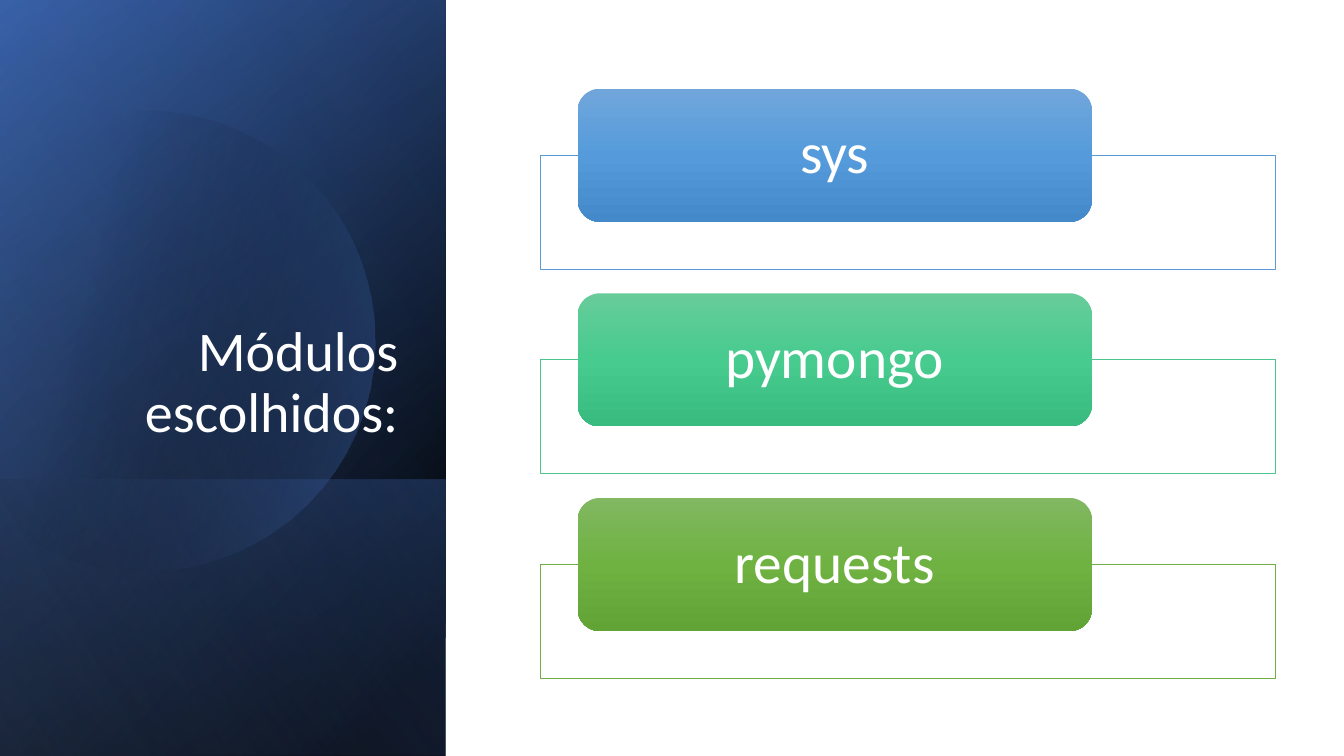
from pptx import Presentation
from pptx import util as u
from pptx.dml.color import RGBColor
from pptx.enum import shapes, text
from pptx.oxml import ns
from lxml import etree

TITLE = "Módulos escolhidos:"
MODULES = [
    # name, outline, gradient from top to bottom
    ("sys", "5B9BD5", ("71A6DB", "559BDB", "448ACA")),
    ("pymongo", "4DC58D", ("67CC9A", "47CB8E", "39BB7F")),
    ("requests", "70AD47", ("81B861", "6FB242", "62A336")),
]


class Theme:
    font = "Calibri"
    white = "FFFFFF"
    title_size = 40
    module_size = 41
    frame_line = 0.5


SLIDE_W, SLIDE_H = 13.33, 7.5
PANEL_W = 4.42
LOWER_H = 2.74
TITLE_BOX = (0.64, 1.84, 3.41, 2.62)
ROW_TOP, ROW_PITCH = 0.88, 2.03
CARD_X, CARD_W, CARD_H = 5.73, 5.1, 1.32
FRAME_X, FRAME_W, FRAME_H = 5.36, 7.29, 1.13

# Gradient stops: position %, colour, opacity %
BASE = ([(8, "000000", 100), (100, "2F5597", 100)], 50)
GLOW = ([(0, "000000", 0), (99, "4472C4", 46)], 30)
LOWER = ([(2, "4472C4", 29), (100, "000000", 30)], 130)
DISC = ([(29, "000000", 0), (100, "4472C4", 43)], 14)
VEIL = ([(0, "000000", 0), (99, "8FAADC", 11)], 120)

# Disc outline: start, then segments of one point (line) or three (curve)
DISC_START = (1.49, 1.1)
DISC_SEGMENTS = [
    [(2.46, 1.12), (3.35, 1.77), (3.63, 2.75)],
    [(3.98, 3.97), (3.28, 5.23), (2.07, 5.58)],
    [(1.31, 5.8), (0.53, 5.61), (-0.03, 5.14)],
    [(-0.15, 5.03)],
    [(-0.15, 1.75)],
    [(0, 1.61)],
    [(0.23, 1.42), (0.5, 1.28), (0.8, 1.19)],
    [(1.03, 1.13), (1.26, 1.1), (1.49, 1.1)],
]
CURVE_STEPS = 16


def apply_format(target, values):
    for name, value in values.items():
        setattr(target, name, value)


def paint_gradient(shape, stops, angle):
    shape.shadow.inherit = False
    shape.line.fill.background()
    shape.fill.gradient()
    gradient = shape.element.find(".//" + ns.qn("a:gradFill"))
    for child in list(gradient):
        gradient.remove(child)
    stop_list = etree.SubElement(gradient, ns.qn("a:gsLst"))
    for position, colour, opacity in stops:
        stop = etree.SubElement(stop_list, ns.qn("a:gs"), pos=str(position * 1000))
        rgb = etree.SubElement(stop, ns.qn("a:srgbClr"), val=colour)
        if opacity < 100:
            etree.SubElement(rgb, ns.qn("a:alpha"), val=str(opacity * 1000))
    etree.SubElement(gradient, ns.qn("a:lin"), ang=str(angle * 60000), scaled="0")


def add_box(slide, kind, *box):
    return slide.shapes.add_shape(kind, *map(u.Inches, box))


def add_panel(slide, top, height, gradient):
    """Add a left-hand panel, mirrored and turned a quarter so its gradient turns too."""
    left = (PANEL_W - height) / 2
    panel = add_box(slide, shapes.MSO_SHAPE.RECTANGLE,
                    left, top + (height - PANEL_W) / 2, height, PANEL_W)
    panel.rotation = 90
    panel.element.spPr.find(ns.qn("a:xfrm")).set("flipH", "1")
    paint_gradient(panel, *gradient)


def disc_points():
    """Yield the outline, with each Bézier curve sampled in equal steps."""
    start = DISC_START
    for segment in DISC_SEGMENTS:
        if len(segment) == 1:
            yield segment[0]
        else:
            controls = [start, *segment]
            for step in range(1, CURVE_STEPS + 1):
                t = step / CURVE_STEPS
                weights = ((1 - t) ** 3, 3 * t * (1 - t) ** 2, 3 * t * t * (1 - t), t ** 3)
                yield tuple(sum(w * p[axis] for w, p in zip(weights, controls))
                            for axis in (0, 1))
        start = segment[-1]


def add_disc(slide):
    outline = slide.shapes.build_freeform(*map(u.Inches, DISC_START), scale=1.0)
    outline.add_line_segments([tuple(map(u.Inches, point)) for point in disc_points()],
                              close=True)
    paint_gradient(outline.convert_to_shape(), *DISC)


def write(shape, words, size, align, frame_format):
    frame = shape.text_frame
    frame.text = words
    apply_format(frame, {"word_wrap": True, "auto_size": text.MSO_AUTO_SIZE.NONE,
                         **frame_format})
    paragraph = frame.paragraphs[0]
    apply_format(paragraph, {"alignment": align, "line_spacing": 0.9})
    font = paragraph.runs[0].font
    apply_format(font, {"name": Theme.font, "size": u.Pt(size)})
    font.color.rgb = RGBColor.from_string(Theme.white)


def add_title(slide):
    title = slide.shapes.title
    edges = ("left", "top", "width", "height")
    apply_format(title, dict(zip(edges, map(u.Inches, TITLE_BOX))))
    write(title, TITLE, Theme.title_size, text.PP_ALIGN.RIGHT,
          {"vertical_anchor": text.MSO_ANCHOR.BOTTOM})
    title.element.getparent().append(title.element)  # in front of the panels


def add_module(slide, row, name, outline, colours):
    top = ROW_TOP + row * ROW_PITCH
    frame = add_box(slide, shapes.MSO_SHAPE.RECTANGLE,
                    FRAME_X, top + CARD_H / 2, FRAME_W, FRAME_H)
    frame.shadow.inherit = False
    frame.fill.solid()
    frame.fill.fore_color.rgb = RGBColor.from_string(Theme.white)
    frame.line.color.rgb = RGBColor.from_string(outline)
    frame.line.width = u.Pt(Theme.frame_line)

    card = add_box(slide, shapes.MSO_SHAPE.ROUNDED_RECTANGLE, CARD_X, top, CARD_W, CARD_H)
    stops = [(i * 50, colour, 100) for i, colour in enumerate(colours)]
    paint_gradient(card, stops, 90)
    write(card, name, Theme.module_size, text.PP_ALIGN.CENTER,
          {"vertical_anchor": text.MSO_ANCHOR.MIDDLE,
           "margin_left": u.Inches(0.19), "margin_right": u.Inches(0.19),
           "margin_top": 0, "margin_bottom": 0})


def main():
    deck = Presentation()
    apply_format(deck, {"slide_width": u.Inches(SLIDE_W), "slide_height": u.Inches(SLIDE_H)})
    slide = deck.slides.add_slide(deck.slide_layouts[5])
    add_panel(slide, 0, SLIDE_H, BASE)
    add_panel(slide, 0, SLIDE_H, GLOW)
    add_panel(slide, SLIDE_H - LOWER_H, LOWER_H, LOWER)
    add_disc(slide)
    add_panel(slide, 0, SLIDE_H, VEIL)
    add_title(slide)
    for row, module in enumerate(MODULES):
        add_module(slide, row, *module)
    deck.save("out.pptx")


if __name__ == "__main__":
    main()
